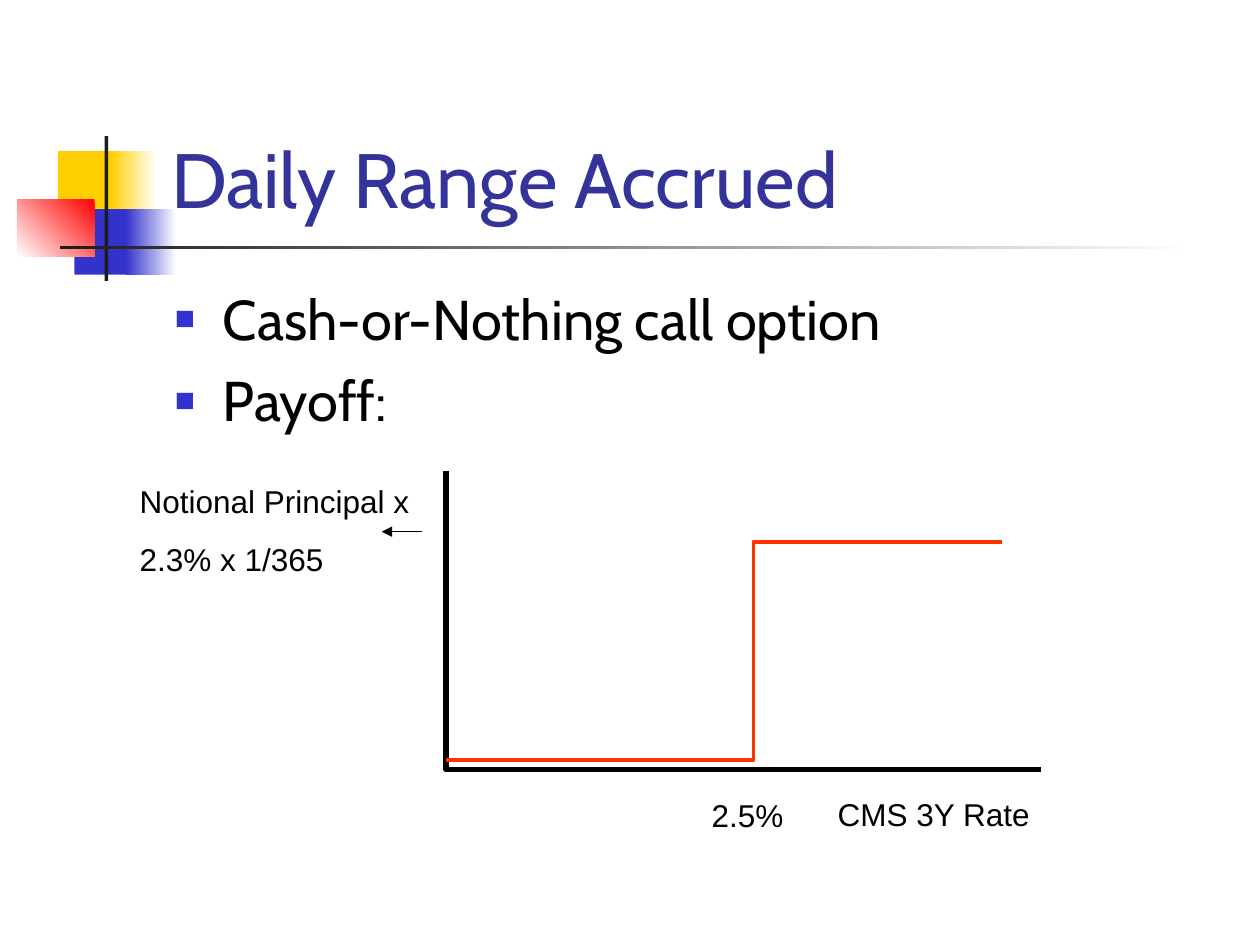
from lxml import etree
from pptx import Presentation
from pptx import util as u
from pptx.dml.color import RGBColor
from pptx.enum import shapes, text
from pptx.oxml import parse_xml
from pptx.oxml.ns import nsdecls, qn

# Content: left, top, width, height in inches
DECORATION = [  # box, colours from start to end, gradient angle
    ((0.46, 1.2, 0.48, 0.52), ["FFCF01"], None),
    ((0.88, 1.2, 0.36, 0.52), ["FFFFFF", "FFCF01"], 180),
    ((0.59, 1.66, 0.46, 0.52), ["3333CC"], None),
    ((1, 1.66, 0.4, 0.52), ["FFFFFF", "3333CC"], 180),
    ((0.14, 1.58, 0.61, 0.46), ["FF0000", "FFFFFF"], 225),
    ((0.83, 1.08, 0.03, 1.15), ["1C1C1C"], None),
    ((0.48, 1.95, 9, 0.03), ["FFFFFF", "1C1C1C"], 180),
]
TITLE = ["Daily Range Accrued"]
BULLETS = ["Cash-or-Nothing call option", "Payoff:"]
LABELS = [
    ((6.55, 6.26, 1.84, 0.4), ["CMS 3Y Rate"]),
    ((1.01, 3.78, 2.44, 0.86), ["Notional Principal x", "2.3% x 1/365"]),
    ((5.55, 6.27, 0.79, 0.4), ["2.5%"]),
]
AXES = [(3.54, 3.74), (3.54, 6.11), (8.26, 6.11)]
PAYOFF = [(3.54, 6.03), (5.98, 6.03), (5.98, 4.3), (7.95, 4.3)]
ARROW = [(3.35, 4.22), (3.03, 4.22)]

presentation = Presentation()
presentation.slide_width, presentation.slide_height = u.Inches(10), u.Inches(7.5)
slide = presentation.slides.add_slide(presentation.slide_layouts[6])


def color(value):
    return RGBColor.from_string(value)


def inches(values):
    return [u.Inches(value) for value in values]


def add_block(box, colors, angle):
    shape = slide.shapes.add_shape(shapes.MSO_SHAPE.RECTANGLE, *inches(box))
    shape.shadow.inherit = False
    shape.line.fill.background()
    if angle is None:
        shape.fill.solid()
        shape.fill.fore_color.rgb = color(colors[0])
    else:
        shape.fill.gradient()
        shape.fill.gradient_angle = angle
        for stop, value, position in zip(shape.fill.gradient_stops, colors, (0, 1)):
            stop.color.rgb = color(value)
            stop.position = position


def add_bullet(paragraph):
    properties = paragraph._p.get_or_add_pPr()
    properties.set("marL", str(u.Inches(0.38)))
    properties.set("indent", str(-u.Inches(0.38)))
    for xml in (
        f'<a:buClr {nsdecls("a")}><a:srgbClr val="3333CC"/></a:buClr>',
        f'<a:buSzPct {nsdecls("a")} val="60000"/>',
        f'<a:buFont {nsdecls("a")} typeface="Arial"/>',
        f'<a:buChar {nsdecls("a")} char="■"/>',
    ):
        properties.append(parse_xml(xml))


def add_text(box, lines, size=18, font="Arial", fill="000000", gap=11.2,
             anchor=text.MSO_ANCHOR.TOP, bullet=False):
    frame = slide.shapes.add_textbox(*inches(box)).text_frame
    frame.word_wrap = True
    frame.vertical_anchor = anchor
    for index, line in enumerate(lines):
        paragraph = frame.add_paragraph() if index else frame.paragraphs[0]
        if index:
            paragraph.space_before = u.Pt(gap)
        if bullet:
            add_bullet(paragraph)
        run = paragraph.add_run()
        run.text = line
        run.font.size = u.Pt(size)
        run.font.name = font
        run.font.color.rgb = color(fill)


def add_path(points, line_color, width):
    start, *rest = [inches(point) for point in points]
    builder = slide.shapes.build_freeform(*start)
    builder.add_line_segments(rest, close=False)
    shape = builder.convert_to_shape()
    shape.shadow.inherit = False
    shape.fill.background()
    shape.line.color.rgb = color(line_color)
    shape.line.width = u.Pt(width)


def add_arrow(start, end):
    connector = slide.shapes.add_connector(
        shapes.MSO_CONNECTOR.STRAIGHT, *inches(start), *inches(end))
    connector.line.color.rgb = color("000000")
    connector.line.width = u.Pt(0.75)
    etree.SubElement(connector.line._get_or_add_ln(), qn("a:tailEnd"), type="triangle")
    etree.SubElement(connector._element.spPr, qn("a:effectLst"))


# Corner decoration
for block in DECORATION:
    add_block(*block)

# Title and bullets
add_text((1.26, 0.23, 8.52, 1.6), TITLE, size=44, font="Cabin", fill="333399",
         anchor=text.MSO_ANCHOR.BOTTOM)
add_text((1.29, 2.21, 8.5, 4.5), BULLETS, size=32, font="Cabin", gap=8, bullet=True)

# Payoff diagram
add_path(AXES, "000000", 3)
add_path(PAYOFF, "FF3300", 2.25)
for box, lines in LABELS:
    add_text(box, lines)
add_arrow(*ARROW)

presentation.save("out.pptx")
